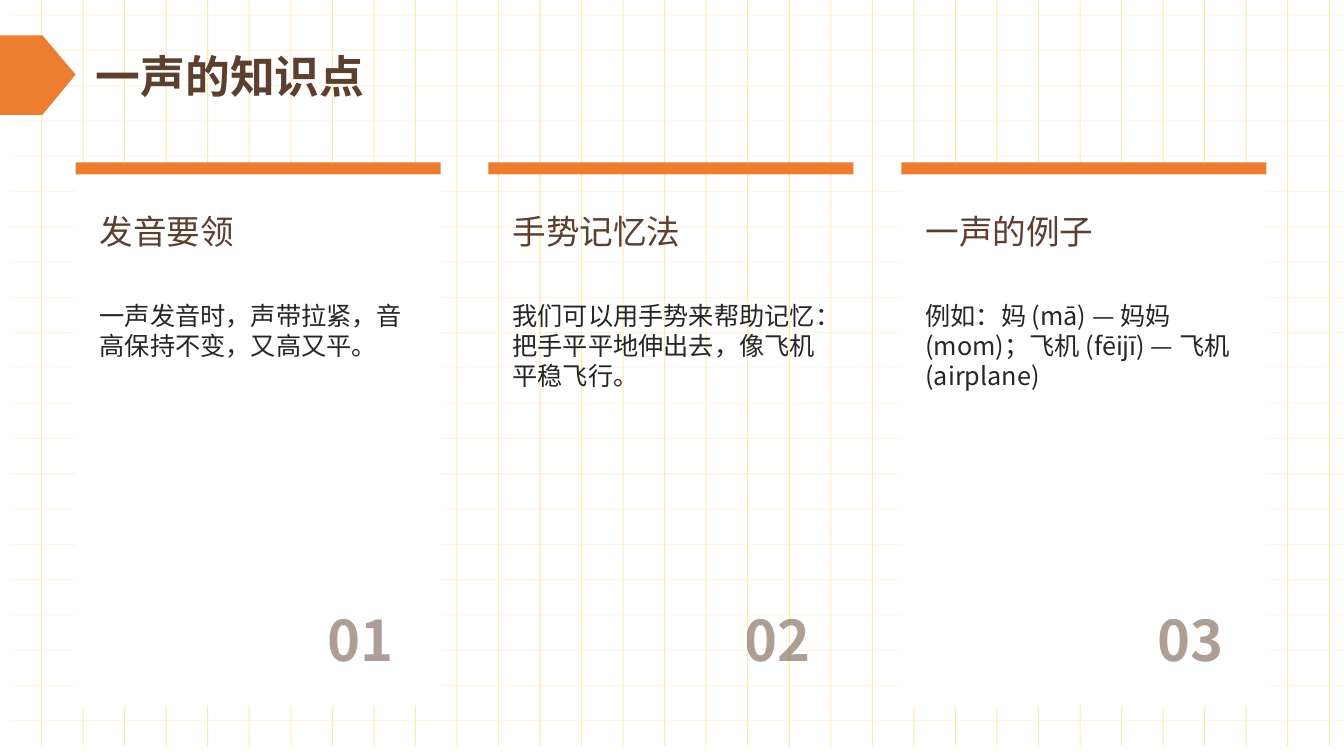
from lxml.etree import SubElement
from pptx import Presentation
from pptx.dml.color import RGBColor
from pptx.enum.shapes import MSO_CONNECTOR, MSO_SHAPE
from pptx.enum.text import MSO_ANCHOR, PP_ALIGN
from pptx.oxml.ns import qn
from pptx.util import Inches, Pt

FONT = "Noto Sans CJK SC"
ORANGE = RGBColor(0xED, 0x7D, 0x31)
BROWN = RGBColor(0x5C, 0x3F, 0x2F)
DARK = RGBColor(0x26, 0x26, 0x26)
WHITE = RGBColor(0xFF, 0xFF, 0xFF)
YELLOW = RGBColor(0xF7, 0xE2, 0x88)

PAGE_WIDTH, PAGE_HEIGHT = 13.33, 7.5
CARD_LEFT, CARD_TOP, CARD_PITCH = 0.75, 1.61, 4.095
CARD_WIDTH, CARD_HEIGHT, BAR_HEIGHT = 3.62, 5.39, 0.12

# heading, body, left of the number, white panel behind the text
CARDS = [
    ("发音要领", "一声发音时，声带拉紧，音高保持不变，又高又平。", 2.72, True),
    ("手势记忆法", "我们可以用手势来帮助记忆：把手平平地伸出去，像飞机平稳飞行。", 6.86, False),
    ("一声的例子", "例如：妈 (mā) — 妈妈 (mom)；飞机 (fēijī) — 飞机 (airplane)", 10.95, True),
]


def set_opacity(element, percent):
    """Make the first RGB colour inside the element partly transparent."""
    colour = next(element.iter(qn("a:srgbClr")))
    SubElement(colour, qn("a:alpha")).set("val", str(percent * 1000))


def add_grid_line(group, x1, y1, x2, y2, opacity):
    line = group.shapes.add_connector(
        MSO_CONNECTOR.STRAIGHT, Inches(x1), Inches(y1), Inches(x2), Inches(y2))
    line.line.color.rgb = YELLOW
    line.line.width = Pt(0.75)
    properties = line.line._get_or_add_ln().getparent()
    SubElement(properties, qn("a:effectLst"))
    set_opacity(properties, opacity)


def add_grid(page):
    rows = page.shapes.add_group_shape()
    for row in range(21):
        y = 0.15 + 0.35 * row
        add_grid_line(rows, 0.1, y, PAGE_WIDTH, y, 25)
    columns = page.shapes.add_group_shape()
    for column in range(1, 33):
        x = 0.412 * column
        add_grid_line(columns, x, -0.1, x, 7.4, 64)


def paint(shape, colour):
    shape.shadow.inherit = False
    shape.fill.solid()
    shape.fill.fore_color.rgb = colour
    shape.line.fill.background()


def add_rectangle(page, left, top, width, height, colour):
    paint(page.shapes.add_shape(
        MSO_SHAPE.RECTANGLE, Inches(left), Inches(top), Inches(width), Inches(height)), colour)


def add_title_marker(page):
    builder = page.shapes.build_freeform(Inches(0.42), Inches(0.35))
    corners = [(0, 0.35), (0, 1.14), (0.42, 1.14), (0.75, 0.74)]
    builder.add_line_segments([(Inches(x), Inches(y)) for x, y in corners], close=True)
    paint(builder.convert_to_shape(), ORANGE)


def add_text(page, text, left, top, width, height, size, colour, bold=False,
             anchor=MSO_ANCHOR.TOP, align=None, spacing=None, opacity=None):
    box = page.shapes.add_textbox(Inches(left), Inches(top), Inches(width), Inches(height))
    frame = box.text_frame
    frame.word_wrap = True
    frame.vertical_anchor = anchor
    frame.text = text
    paragraph = frame.paragraphs[0]
    paragraph.alignment = align
    paragraph.line_spacing = spacing
    font = paragraph.runs[0].font
    font.name = FONT
    font.size = Pt(size)
    font.bold = bold
    font.color.rgb = colour
    properties = paragraph.runs[0]._r.get_or_add_rPr()
    SubElement(properties, qn("a:ea")).set("typeface", FONT)
    if opacity:
        set_opacity(properties, opacity)


def add_card(page, index, heading, body, number_left, has_panel):
    left = CARD_LEFT + CARD_PITCH * index
    if has_panel:
        add_rectangle(page, left, CARD_TOP, CARD_WIDTH, CARD_HEIGHT, WHITE)
    add_rectangle(page, left, CARD_TOP, CARD_WIDTH, BAR_HEIGHT, ORANGE)
    add_text(page, heading, left + 0.14, 2, 3.35, 0.87, 24, BROWN, spacing=1.1)
    add_text(page, body, left + 0.14, 2.93, 3.35, 3.15, 18, DARK)
    add_text(page, f"{index + 1:02d}", number_left, 5.89, 1.28, 0.91, 40, BROWN, bold=True,
             anchor=MSO_ANCHOR.MIDDLE, align=PP_ALIGN.RIGHT, opacity=50)


def main():
    deck = Presentation()
    deck.slide_width, deck.slide_height = Inches(PAGE_WIDTH), Inches(PAGE_HEIGHT)
    page = deck.slides.add_slide(deck.slide_layouts[6])
    add_grid(page)
    for index, card in enumerate(CARDS):
        add_card(page, index, *card)
    add_title_marker(page)
    add_text(page, "一声的知识点", 0.85, 0.35, 11.81, 0.79, 32, BROWN, bold=True,
             anchor=MSO_ANCHOR.MIDDLE)
    deck.save("out.pptx")


if __name__ == "__main__":
    main()
